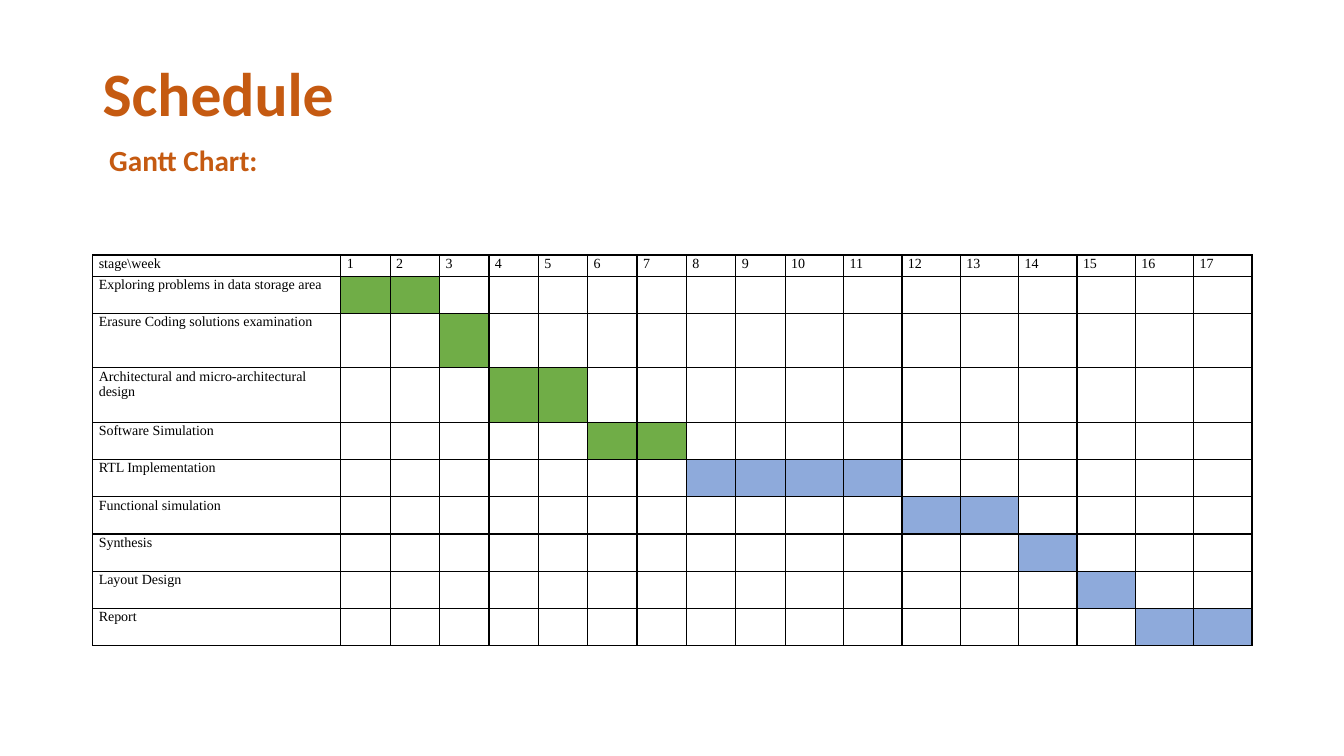
from lxml.etree import fromstring
from pptx import Presentation
from pptx.dml.color import RGBColor as Rgb
from pptx.enum.text import MSO_ANCHOR as Anchor
from pptx.util import Inches, Pt

COLORS = {"heading": "C55A11", "ink": "000000", "done": "70AD47", "planned": "8EAADB"}
TITLE = "Schedule"
SUBTITLE = " Gantt Chart:"
CORNER = r"stage\week"
WEEKS = 17
STAGES = [
    ("Exploring problems in data storage area", 1, 2, "done", 0.37),
    ("Erasure Coding solutions examination", 3, 3, "done", 0.54),
    ("Architectural and micro-architectural design", 4, 5, "done", 0.54),
    ("Software Simulation", 6, 7, "done", 0.37),
    ("RTL Implementation", 8, 11, "planned", 0.37),
    ("Functional simulation", 12, 13, "planned", 0.37),
    ("Synthesis", 14, 14, "planned", 0.37),
    ("Layout Design", 15, 15, "planned", 0.37),
    ("Report", 16, 17, "planned", 0.37),
]

LEFT, WIDTH = 0.92, 11.5
TABLE_TOP, HEADER_HEIGHT = 2.53, 0.21
STAGE_WIDTH, SHORT_WIDTH, SHORT_WEEKS = 2.46, 0.49, 9
LONG_WIDTH = (WIDTH - STAGE_WIDTH - SHORT_WEEKS * SHORT_WIDTH) / (WEEKS - SHORT_WEEKS)
DRAWING = "http://schemas.openxmlformats.org/drawingml/2006/main"


def write(frame, text, size=10, font="Times New Roman", color="ink", bold=False,
          spacing=None, after=None):
    para = frame.paragraphs[0]
    para.line_spacing = spacing
    para.space_after = after
    span = para.add_run()
    span.text = text
    span.font.size = Pt(size)
    span.font.name = font
    span.font.bold = bold
    span.font.color.rgb = Rgb.from_string(COLORS[color])


def add_heading(page, text, top, height, anchor, **style):
    box = page.shapes.add_textbox(Inches(LEFT), Inches(top), Inches(WIDTH), Inches(height))
    frame = box.text_frame
    frame.word_wrap = True
    frame.vertical_anchor = anchor
    write(frame, text, font="Calibri", color="heading", bold=True, **style)


def add_borders(cell):
    properties = cell._tc.get_or_add_tcPr()
    for index, side in enumerate("LRTB"):
        line = fromstring(
            f'<a:ln{side} xmlns:a="{DRAWING}" w="{Pt(1)}"><a:solidFill>'
            f'<a:srgbClr val="{COLORS["ink"]}"/></a:solidFill></a:ln{side}>')
        properties.insert(index, line)


def format_cell(cell, text, color):
    cell.margin_left = cell.margin_right = Inches(0.06)
    cell.margin_top, cell.margin_bottom = Inches(0.01), 0
    if color:
        cell.fill.solid()
        cell.fill.fore_color.rgb = Rgb.from_string(COLORS[color])
    else:
        cell.fill.background()
    if text:
        write(cell.text_frame, text)
    add_borders(cell)


def add_gantt(page):
    heights = [HEADER_HEIGHT] + [stage[-1] for stage in STAGES]
    table = page.shapes.add_table(
        len(heights), WEEKS + 1, Inches(LEFT), Inches(TABLE_TOP),
        Inches(WIDTH), Inches(sum(heights))).table
    table.first_row = table.horz_banding = False
    widths = [STAGE_WIDTH] + [SHORT_WIDTH] * SHORT_WEEKS + [LONG_WIDTH] * (WEEKS - SHORT_WEEKS)
    for column, width in zip(table.columns, widths):
        column.width = Inches(width)
    for row, height in zip(table.rows, heights):
        row.height = Inches(height)
    for week in range(WEEKS + 1):
        format_cell(table.cell(0, week), str(week) if week else CORNER, None)
        for number, (name, first, last, status, _) in enumerate(STAGES, 1):
            format_cell(table.cell(number, week), "" if week else name,
                        status if first <= week <= last else None)


def main():
    deck = Presentation()
    deck.slide_width, deck.slide_height = Inches(13.33), Inches(7.5)
    page = deck.slides.add_slide(deck.slide_layouts[6])
    add_heading(page, TITLE, 0.32, 1.02, Anchor.BOTTOM, size=44, spacing=0.9)
    add_heading(page, SUBTITLE, 1.46, 0.46, Anchor.TOP, size=20.9, spacing=0.7, after=Pt(6))
    add_gantt(page)
    deck.save("out.pptx")


if __name__ == "__main__":
    main()
